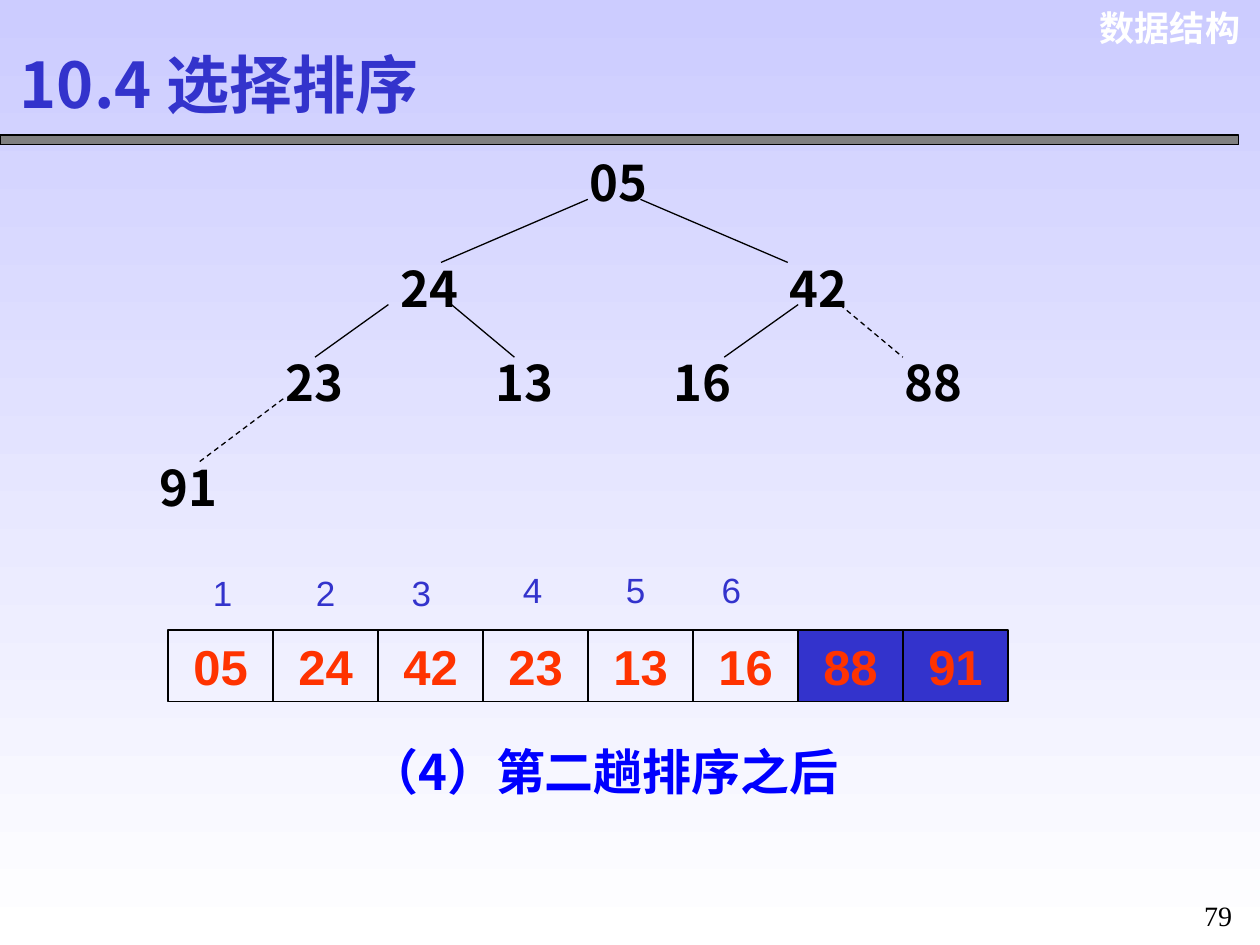
import pptx
import pptx.dml.color
import pptx.enum.dml
import pptx.enum.shapes
import pptx.enum.text
import pptx.oxml.ns
import pptx.util
from lxml import etree

Cm, Pt = pptx.util.Cm, pptx.util.Pt
ALIGN = pptx.enum.text.PP_ALIGN
ANCHOR = pptx.enum.text.MSO_ANCHOR
qn = pptx.oxml.ns.qn

COLORS = {
    "bg_top": "CCCCFF", "bg_bottom": "FFFFFF", "bar": "808080",
    "accent": "3333CC", "black": "000000", "white": "FFFFFF",
    "value": "FF3300", "caption": "0000FF",
}
NOTO, ARIAL, TIMES = "Noto Sans CJK SC", "Arial", "Times New Roman"


class Deck:
    def __init__(self):
        self.prs = pptx.Presentation()
        self.prs.slide_width, self.prs.slide_height = Cm(25.4), Cm(19.05)
        self.s = self.prs.slides.add_slide(self.prs.slide_layouts[6])

    def color(self, name):
        return pptx.dml.color.RGBColor.from_string(COLORS[name])

    def background(self, top, bottom):
        fill = self.s.background.fill
        fill.gradient()
        fill.gradient_angle = 270
        for stop, name in zip(fill.gradient_stops, (top, bottom)):
            stop.color.rgb = self.color(name)

    def set_text(self, sp, text, size, color, font, bold, align, anchor, wrap=True):
        tf = sp.text_frame
        tf.word_wrap = wrap
        tf.vertical_anchor = anchor
        p = tf.paragraphs[0]
        p.alignment = align
        r = p.add_run()
        r.text = text
        p.font.size, p.font.bold, p.font.name = Pt(size), bold, font
        p.font.color.rgb = self.color(color)
        # East Asian glyphs need their own typeface entry
        ea = etree.SubElement(r._r.get_or_add_rPr(), qn("a:ea"))
        ea.set("typeface", NOTO)
        return p

    def text(self, x, y, w, h, text, size, color, font=NOTO, bold=True,
             align=ALIGN.LEFT, anchor=ANCHOR.TOP, wrap=True):
        sp = self.s.shapes.add_textbox(Cm(x), Cm(y), Cm(w), Cm(h))
        return self.set_text(sp, text, size, color, font, bold, align, anchor, wrap)

    def rect(self, x, y, w, h, fill=None):
        sp = self.s.shapes.add_shape(
            pptx.enum.shapes.MSO_SHAPE.RECTANGLE, Cm(x), Cm(y), Cm(w), Cm(h))
        sp.shadow.inherit = False
        if fill:
            sp.fill.solid()
            sp.fill.fore_color.rgb = self.color(fill)
        else:
            sp.fill.background()
        sp.line.color.rgb = self.color("black")
        sp.line.width = Pt(0.75)
        return sp

    def cell(self, x, y, w, h, text, fill=None):
        sp = self.rect(x, y, w, h, fill)
        self.set_text(sp, text, 28, "value", ARIAL, True, ALIGN.CENTER, ANCHOR.TOP)

    def edge(self, x1, y1, x2, y2, dashed=False):
        ln = self.s.shapes.add_connector(
            pptx.enum.shapes.MSO_CONNECTOR.STRAIGHT, Cm(x1), Cm(y1), Cm(x2), Cm(y2))
        ln.line.color.rgb = self.color("black")
        ln.line.width = Pt(0.75)
        if dashed:
            ln.line.dash_style = pptx.enum.dml.MSO_LINE.DASH
        etree.SubElement(ln._element.spPr, qn("a:effectLst"))


def main():
    deck = Deck()

    # Background, header and title
    deck.background("bg_top", "bg_bottom")
    deck.text(21.77, 0, 3.48, 1.12, "数据结构", 20, "white", ARIAL, align=ALIGN.RIGHT)
    deck.rect(0, 2.72, 24.97, 0.2, "bar")
    deck.text(0.15, 0.74, 9.45, 1.9, "10.4 选择排序", 36, "accent", anchor=ANCHOR.MIDDLE)

    # Heap tree nodes, level by level
    levels = [
        (2.96, [("05", 11.64)]),
        (5.08, [("24", 7.83), ("42", 15.66)]),
        (6.99, [("23", 5.5), ("13", 9.74), ("16", 13.33), ("88", 17.99)]),
        (9.1, [("91", 2.96)]),
    ]
    for y, nodes in levels:
        for value, x in nodes:
            deck.text(x, y, 1.69, 1.44, value, 28, "black")

    # Tree edges; dashed ones lead to elements already sorted out
    edges = [
        (4.02, 5.29, [(11.85, 8.89, False), (12.91, 15.88, False)]),
        (6.14, 7.2, [(7.83, 6.35, False), (9.1, 10.37, False),
                     (16.09, 14.6, False), (16.93, 18.2, True)]),
        (8.04, 9.31, [(5.71, 4.02, True)]),
    ]
    for y1, y2, spans in edges:
        for x1, x2, dashed in spans:
            deck.edge(x1, y1, x2, y2, dashed)

    # Array: the sorted tail is filled
    values = ["05", "24", "42", "23", "13", "16", "88", "91"]
    heap_size, cell_w = 6, 16.93 / len(values)
    for i, value in enumerate(values):
        deck.cell(3.39 + i * cell_w, 12.7, cell_w, 1.44, value,
                  "accent" if i >= heap_size else None)

    # Array indexes in two groups of three
    for i in range(heap_size):
        group, k = divmod(i, 3)
        deck.text((4.04, 6.12, 8.05)[k] + 6.25 * group, (11.4, 11.33)[group],
                  0.89, 1.12, str(i + 1), 20, "accent", ARIAL, False, wrap=False)

    # Caption and page number
    deck.text(4.87, 14.82, 14.61, 1.44, "（4）第二趟排序之后", 28, "caption",
              align=ALIGN.CENTER)
    p = deck.text(23.92, 17.78, 1.27, 1.14, "79", 16, "black", TIMES, False,
                  align=ALIGN.CENTER)
    p.line_spacing = 1.3

    deck.prs.save("out.pptx")


if __name__ == "__main__":
    main()
